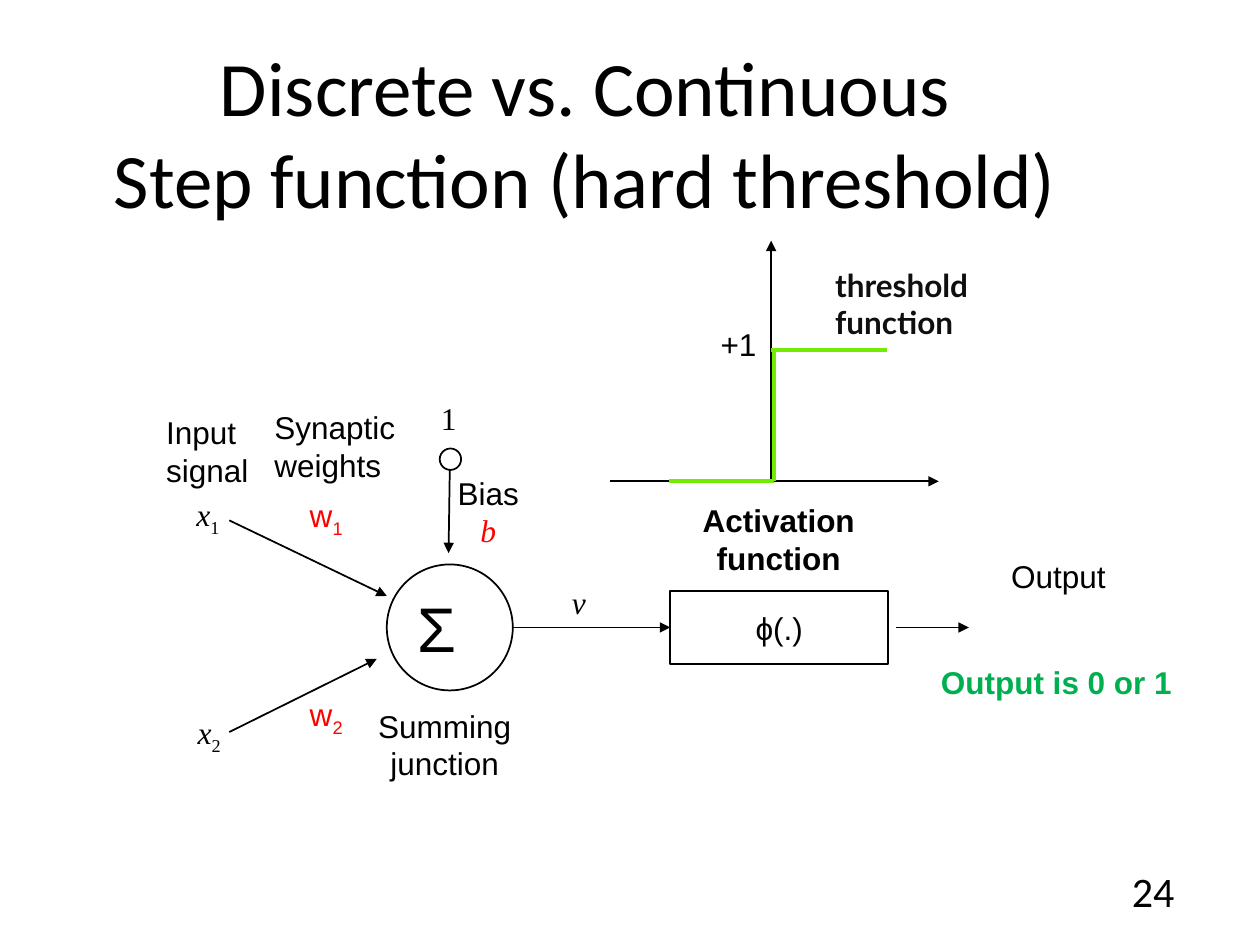
"""Build a slide on the hard threshold step function of a neuron."""
from lxml import etree
from pptx import Presentation
from pptx.dml.color import RGBColor
from pptx.enum.shapes import MSO_CONNECTOR, MSO_SHAPE
from pptx.enum.text import MSO_ANCHOR, MSO_AUTO_SIZE, PP_ALIGN
from pptx.oxml.ns import qn
from pptx.util import Inches, Pt

LEFT, MID, RIGHT = PP_ALIGN.LEFT, PP_ALIGN.CENTER, PP_ALIGN.RIGHT
TOP, CORE = MSO_ANCHOR.TOP, MSO_ANCHOR.MIDDLE
GROW, FIXED = MSO_AUTO_SIZE.SHAPE_TO_FIT_TEXT, MSO_AUTO_SIZE.NONE
OVAL, RECT = MSO_SHAPE.OVAL, MSO_SHAPE.RECTANGLE
STRAIGHT = MSO_CONNECTOR.STRAIGHT

BLACK, RED, GREEN, LIME = "000000", "FF0000", "00B050", "72EC04"
PLAIN = {"name": "Arial", "size": Pt(18), "color": BLACK}
BOLD = {**PLAIN, "bold": True}
WEIGHT = {**PLAIN, "color": RED}
ROMAN = {**PLAIN, "name": "Times New Roman"}
MATH = {**ROMAN, "italic": True}
BIAS = {**MATH, "color": RED}
SUM = {**PLAIN, "size": Pt(36)}
TITLE = {"name": "Calibri", "size": Pt(44), "color": BLACK}
PAGE = {**TITLE, "size": Pt(24)}
NOTE = {**BOLD, "name": "Lato", "color": "0F0F0F"}


def paint(code):
    """Turn a hex string into a colour."""
    return RGBColor.from_string(code)


def style(font, look):
    """Set font attributes from a dict of format values."""
    for key, value in look.items():
        if key == "color":
            font.color.rgb = paint(value)
        else:
            setattr(font, key, value)


def write(frame, rows, look, align=LEFT, wrap=False, size=GROW, anchor=TOP):
    """Fill a text frame with one paragraph for each row."""
    frame.word_wrap, frame.auto_size = wrap, size
    frame.vertical_anchor = anchor
    for i, row in enumerate(rows):
        para = frame.add_paragraph() if i else frame.paragraphs[0]
        para.alignment = align
        words, own = row if isinstance(row, tuple) else (row, look)
        run = para.add_run()
        run.text = words
        style(run.font, own)


def label(shapes, at, rows, look=PLAIN, **form):
    """Add a text box and return it."""
    box = shapes.add_textbox(*map(Inches, at))
    write(box.text_frame, rows, look, **form)
    return box


def index(shapes, at, name, num, look, low, wrap=False):
    """Add a symbol with a subscript."""
    box = label(shapes, at, [name], look, wrap=wrap)
    run = box.text_frame.paragraphs[0].add_run()
    run.text = num
    style(run.font, low)
    run._r.get_or_add_rPr().set("baseline", "-25000")


def block(shapes, kind, at):
    """Add an unfilled outline shape."""
    shape = shapes.add_shape(kind, *map(Inches, at))
    shape.shadow.inherit = False
    shape.fill.background()
    shape.line.color.rgb = paint(BLACK)
    shape.line.width = Pt(1)
    return shape


def line(shapes, start, end, color=BLACK, width=1, arrow=True):
    """Add a straight line, with an arrowhead if wanted."""
    link = shapes.add_connector(STRAIGHT, *map(Inches, start + end))
    link.line.color.rgb = paint(color)
    link.line.width = Pt(width)
    props = link._element.spPr
    if arrow:
        tip = etree.SubElement(props.find(qn("a:ln")), qn("a:tailEnd"))
        tip.set("type", "triangle")
    etree.SubElement(props, qn("a:effectLst"))
    return link


def head(slide):
    """Fill and place the title."""
    title = slide.shapes.title
    title.left, title.top, title.width, title.height = map(
        Inches, (-0.04, 0.26, 9.37, 1.25))
    rows = ["Discrete vs. Continuous", "Step function (hard threshold)"]
    write(title.text_frame, rows, TITLE, align=MID, wrap=True, size=FIXED)


def neuron(shapes):
    """Draw the inputs, summing junction and output."""
    core = block(shapes, OVAL, (3.07, 4.48, 1, 1))
    write(core.text_frame, ["Σ"], SUM, size=FIXED, anchor=CORE)
    bias = shapes.add_group_shape().shapes
    block(bias, OVAL, (3.49, 3.56, 0.17, 0.17))
    line(bias, (3.57, 3.73), (3.56, 4.39))
    gate = block(shapes, RECT, (5.32, 4.69, 1.73, 0.58))
    write(gate.text_frame, ["ϕ(.)"], PLAIN, align=MID, size=FIXED, anchor=CORE)
    line(shapes, (4.07, 4.98), (5.32, 4.98)).end_connect(gate, 1)
    line(shapes, (7.11, 4.98), (7.69, 4.98))
    line(shapes, (1.82, 4.13), (3.07, 4.73))
    line(shapes, (1.82, 5.81), (2.99, 5.23))


def names(shapes):
    """Add the labels of the neuron."""
    for num, left, high, drop in (("1", 1.46, 3.88, 3.89),
                                  ("2", 1.47, 5.61, 5.47)):
        index(shapes, (left, high, 0.65, 0.4), "x", num, MATH, ROMAN, True)
        index(shapes, (2.36, drop, 0.48, 0.4), "w", num, WEIGHT, WEIGHT)
    for at, rows, look, align in (
            ((3.53, 3.71, 0.69, 0.7), ["Bias", ("b", BIAS)], PLAIN, MID),
            ((4.44, 4.58, 0.31, 0.4), ["v"], MATH, LEFT),
            ((1.22, 3.23, 0.85, 0.7), ["Input", "signal"], PLAIN, LEFT),
            ((2.08, 3.19, 1.16, 0.7), ["Synaptic", "weights"], PLAIN, LEFT),
            ((2.9, 5.56, 1.26, 0.7), ["Summing", "junction"], PLAIN, MID),
            ((5.47, 3.93, 1.42, 0.71), ["Activation", "function"], BOLD, MID),
            ((7.92, 4.37, 0.96, 0.4), ["Output"], PLAIN, MID),
            ((3.4, 3.12, 0.65, 0.4), ["1"], ROMAN, LEFT),
            ((7.36, 5.21, 2.05, 0.4), ["Output is 0 or 1"],
             {**BOLD, "color": GREEN}, MID)):
        label(shapes, at, rows, look, align=align)


def graph(shapes):
    """Draw the axes and the step curve."""
    plot = shapes.add_group_shape().shapes
    line(plot, (4.84, 3.82), (7.45, 3.82))
    line(plot, (6.12, 3.82), (6.12, 1.91))
    label(plot, (5.62, 2.53, 0.49, 0.4), ["+1"])
    for start, end in (((5.31, 3.82), (6.14, 3.82)),
                       ((6.14, 3.82), (6.14, 2.78)),
                       ((6.12, 2.78), (7.04, 2.78))):
        line(plot, start, end, LIME, 2.25, False)
    label(shapes, (6.53, 2.06, 2.14, 0.4), ["threshold function"], NOTE,
          wrap=True)


def main():
    """Build and save the slide."""
    deck = Presentation()
    deck.slide_width, deck.slide_height = Inches(10), Inches(7.5)
    slide = deck.slides.add_slide(deck.slide_layouts[5])
    head(slide)
    neuron(slide.shapes)
    names(slide.shapes)
    graph(slide.shapes)
    label(slide.shapes, (6.42, 6.82, 3, 0.4), ["24"], PAGE, align=RIGHT,
          wrap=True, size=FIXED)
    deck.save("out.pptx")


if __name__ == "__main__":
    main()
